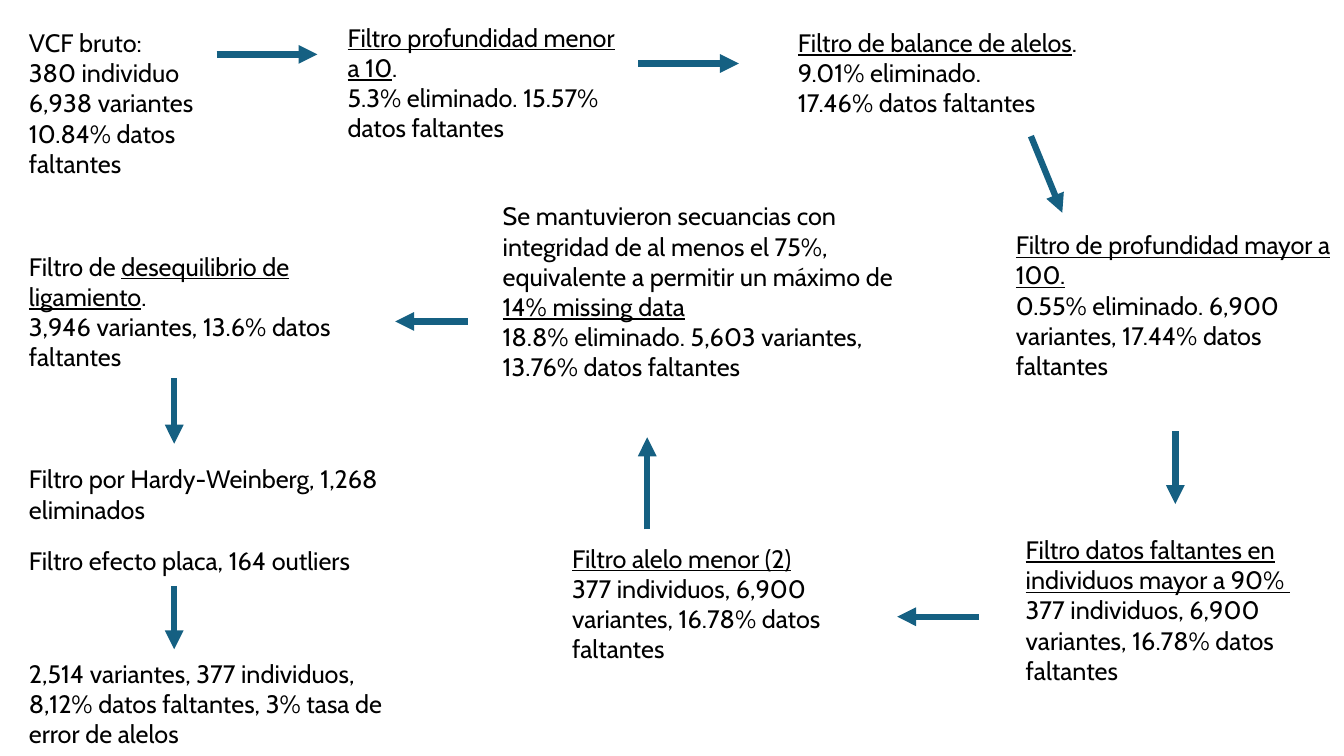
from dataclasses import dataclass
from lxml.etree import SubElement
from pptx import Presentation
from pptx.dml.color import RGBColor
from pptx.enum.shapes import MSO_CONNECTOR
from pptx.enum.text import MSO_AUTO_SIZE
from pptx.oxml.ns import qn
from pptx.util import Cm, Pt


@dataclass
class Theme:
    font: str = "Cabin"
    size: float = 18
    ink: str = "000000"
    arrow: str = "156082"
    weight: float = 4.5


theme = Theme()

# Content: left edge and width shared by the left column, in cm
LEFT, WIDE = 0.48, 9.47

# (left, top, width, height), paragraphs; text between bars is underlined
steps = [
    ((LEFT, 0.56, 4.98, 4.11),
     ["VCF bruto:", "380 individuo", "6,938 variantes", "10.84% datos faltantes"]),
    ((8.51, 0.43, 7.57, 3.33),
     ["|Filtro profundidad menor a 10|.", "5.3% eliminado. 15.57% datos faltantes"]),
    ((19.86, 0.56, 7.92, 2.57),
     ["|Filtro de balance de alelos|.", "9.01% eliminado.", "17.46% datos faltantes"]),
    ((25.35, 5.66, 8.51, 4.11),
     ["|Filtro de profundidad mayor a 100.|",
      "0.55% eliminado. 6,900 variantes, 17.44% datos faltantes"]),
    ((25.6, 13.34, 7.65, 4.11),
     ["|Filtro datos faltantes en individuos mayor a 90% |",
      "377 individuos, 6,900 variantes, 16.78% datos faltantes"]),
    ((14.17, 13.56, 8.64, 3.33),
     ["|Filtro alelo menor (2)|",
      "377 individuos, 6,900 variantes, 16.78% datos faltantes"]),
    ((12.42, 4.93, 10.85, 4.88),
     ["Se mantuvieron secuancias con integridad de al menos el 75%, "
      "equivalente a permitir un máximo de |14% missing data|",
      "18.8% eliminado. 5,603 variantes, 13.76% datos faltantes"]),
    ((LEFT, 6.2, WIDE, 3.33),
     ["Filtro de |desequilibrio de ligamiento|.",
      "3,946 variantes, 13.6% datos faltantes"]),
    ((LEFT, 11.56, WIDE, 1.8), ["Filtro por Hardy-Weinberg, 1,268 eliminados"]),
    ((LEFT, 13.61, WIDE, 1.02), ["Filtro efecto placa, 164 outliers"]),
    ((LEFT, 16.46, WIDE, 2.57),
     ["2,514 variantes, 377 individuos, 8,12% datos faltantes, "
      "3% tasa de error de alelos"]),
]

# Arrows: start x, y, end x, y, in cm
arrows = [
    (5.46, 1.37, 8, 1.37),
    (16.08, 1.6, 18.62, 1.6),
    (25.98, 3.43, 26.77, 5.36),
    (29.62, 10.87, 29.62, 12.7),
    (24.66, 15.54, 22.61, 15.54),
    (16.31, 13.34, 16.31, 11.02),
    (11.79, 8.1, 9.96, 8.1),
    (4.39, 9.53, 4.39, 11.18),
    (4.39, 14.76, 4.39, 16.36),
]


def add_step(slide, box, lines):
    frame = slide.shapes.add_textbox(*map(Cm, box)).text_frame
    frame.word_wrap = True
    frame.auto_size = MSO_AUTO_SIZE.SHAPE_TO_FIT_TEXT
    for i, line in enumerate(lines):
        para = frame.paragraphs[0] if i == 0 else frame.add_paragraph()
        for j, part in enumerate(line.split("|")):
            if not part:
                continue
            run = para.add_run()
            run.text = part
            style = {"name": theme.font, "size": Pt(theme.size), "underline": j % 2 == 1}
            for key, value in style.items():
                setattr(run.font, key, value)
            run.font.color.rgb = RGBColor.from_string(theme.ink)


def add_arrow(slide, ends):
    link = slide.shapes.add_connector(MSO_CONNECTOR.STRAIGHT, *map(Cm, ends))
    link.line.color.rgb = RGBColor.from_string(theme.arrow)
    link.line.width = Pt(theme.weight)
    SubElement(link.line._get_or_add_ln(), qn("a:tailEnd"), type="triangle")
    SubElement(link._element.spPr, qn("a:effectLst"))


def main():
    deck = Presentation()
    deck.slide_width, deck.slide_height = Cm(33.87), Cm(19.05)
    slide = deck.slides.add_slide(deck.slide_layouts[6])

    # Filter steps
    for box, lines in steps:
        add_step(slide, box, lines)

    # Flow between steps
    for ends in arrows:
        add_arrow(slide, ends)

    deck.save("out.pptx")


if __name__ == "__main__":
    main()
